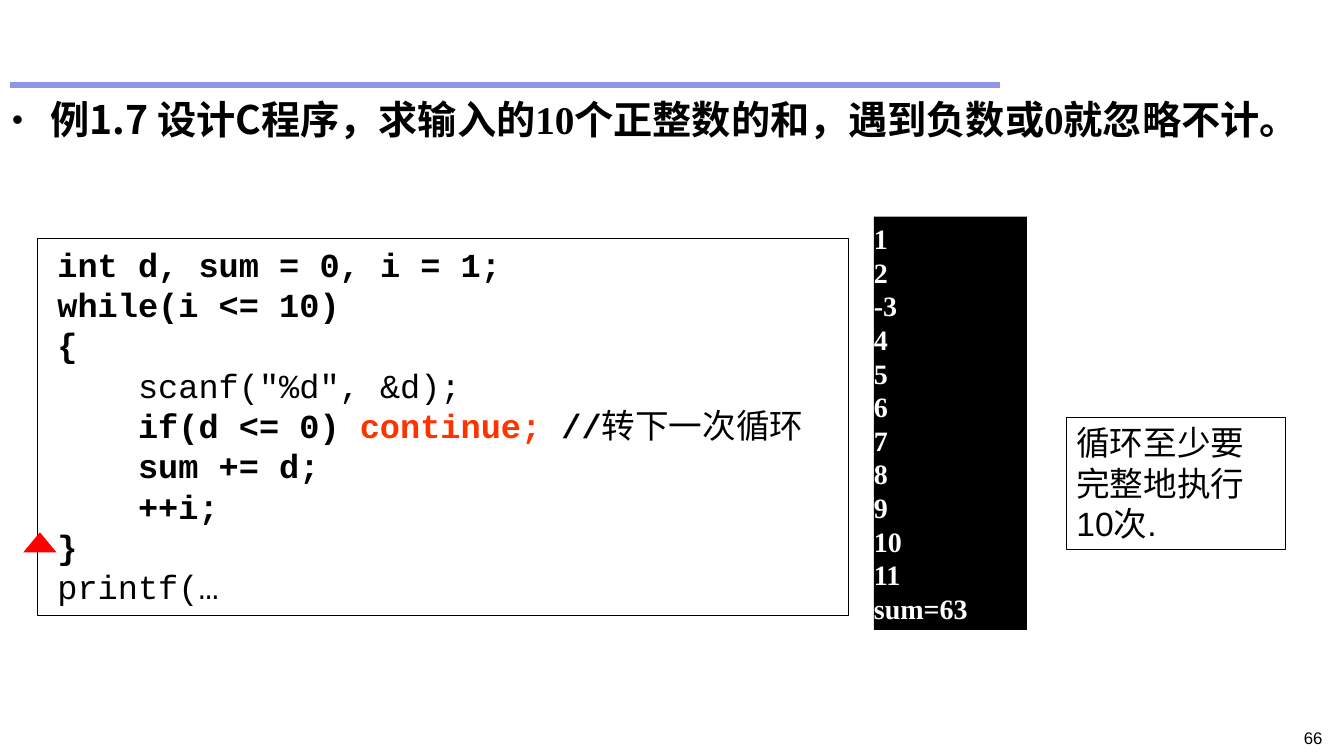
from dataclasses import dataclass
from typing import Any, NamedTuple, Optional

from lxml import etree
from pptx import Presentation
from pptx import util as u
from pptx.dml.color import RGBColor
from pptx.enum import shapes, text
from pptx.oxml import ns


@dataclass(frozen=True)
class Theme:
    black: str = "000000"
    white: str = "FFFFFF"
    red: str = "FF0000"
    keyword: str = "FF3300"
    rule: str = "8D97E5"
    sans: str = "Arial"
    serif: str = "Times New Roman"
    mono: str = "Courier New"
    cjk: str = "Noto Sans CJK SC"
    title_size: float = 28
    code_size: float = 24
    output_size: float = 20
    number_size: float = 12
    rule_width: float = 4.5
    border_width: float = 0.75


T = Theme()


class Run(NamedTuple):
    words: str
    font: str
    size: float
    bold: bool = False
    color: str = T.black


class Para(NamedTuple):
    runs: list[Run]
    left: float = 0
    bullet: bool = False
    align: Any = text.PP_ALIGN.LEFT


class Box(NamedTuple):
    """A frame (left, top, width, height), its insets (x, y) and its text."""
    frame: tuple[float, float, float, float]
    paras: list[Para]
    inset: tuple[float, float] = (7.2, 3.6)
    fill: Optional[str] = None
    line: Optional[str] = None
    kind: Any = shapes.MSO_SHAPE.RECTANGLE


def code(words: str, bold: bool = True, color: str = T.black) -> Run:
    return Run(words, T.mono, T.code_size, bold, color)


def code_line(*runs: Run, depth: int = 0) -> Para:
    """Indent by one character, or to the first tab stop inside the loop."""
    return Para(list(runs), left=72 if depth else 14.4)


def set_attrs(obj: Any, values: dict[str, Any]) -> None:
    for name, value in values.items():
        setattr(obj, name, value)


def add_run(p: Any, run: Run) -> None:
    r = p.add_run()
    r.text = run.words
    set_attrs(r.font, {"name": run.font, "size": u.Pt(run.size), "bold": run.bold})
    r.font.color.rgb = RGBColor.from_string(run.color)
    ea = etree.SubElement(r.font._element, ns.qn("a:ea"))
    ea.set("typeface", T.cjk)


def set_indent(p: Any, para: Para) -> None:
    pPr = p._p.get_or_add_pPr()
    pPr.set("marL", str(u.Pt(para.left)))
    if para.bullet:
        pPr.set("indent", str(-u.Pt(para.left)))
        for tag, key, value in (("a:buSzPct", "val", "80000"),
                                ("a:buFont", "typeface", T.sans),
                                ("a:buChar", "char", "•")):
            etree.SubElement(pPr, ns.qn(tag)).set(key, value)


def add_box(s: Any, box: Box) -> None:
    sp = s.shapes.add_shape(box.kind, *map(u.Pt, box.frame))
    sp.shadow.inherit = False
    if box.fill:
        sp.fill.solid()
        sp.fill.fore_color.rgb = RGBColor.from_string(box.fill)
    else:
        sp.fill.background()
    if box.line:
        sp.line.color.rgb = RGBColor.from_string(box.line)
        sp.line.width = u.Pt(T.border_width)
    else:
        sp.line.fill.background()
    tf = sp.text_frame
    x, y = map(u.Pt, box.inset)
    set_attrs(tf, {"word_wrap": True, "auto_size": text.MSO_AUTO_SIZE.NONE,
                   "vertical_anchor": text.MSO_ANCHOR.TOP,
                   "margin_left": x, "margin_right": x,
                   "margin_top": y, "margin_bottom": y})
    for i, para in enumerate(box.paras):
        p = tf.add_paragraph() if i else tf.paragraphs[0]
        p.alignment = para.align
        set_indent(p, para)
        for run in para.runs:
            add_run(p, run)


def add_rule(s: Any, left: float, right: float, y: float) -> None:
    cxn = s.shapes.add_connector(shapes.MSO_CONNECTOR.STRAIGHT,
                                 u.Pt(left), u.Pt(y), u.Pt(right), u.Pt(y))
    cxn.line.color.rgb = RGBColor.from_string(T.rule)
    cxn.line.width = u.Pt(T.rule_width)
    etree.SubElement(cxn._element.spPr, ns.qn("a:effectLst"))


TITLE = [Run(words, font, T.title_size, True) for words, font in (
    ("例1.7 设计C程序，求输入的", T.cjk),
    ("10个正整数的和", T.serif),
    ("，", T.cjk),
    ("遇到负数或0就忽略不计。", T.serif))]

CODE = [
    code_line(code("int d, sum = 0, i = 1;")),
    code_line(code("while(i <= 10)")),
    code_line(code("{")),
    code_line(code('scanf("%d", &d);', bold=False), depth=1),
    code_line(code("if(d <= 0) "), code("continue;", color=T.keyword), code(" //"),
              Run("转下一次循环", T.sans, T.code_size), depth=1),
    code_line(code("sum += d;"), depth=1),
    code_line(code("++i;"), depth=1),
    code_line(code("}")),
    code_line(code("printf(…", bold=False)),
]

OUTPUT = [Para([Run(words, T.serif, T.output_size, True, T.white)])
          for words in "1 2 -3 4 5 6 7 8 9 10 11 sum=63".split()]

BOXES = [
    Box((7.2, 67.7, 944.6, 468.7), [Para(TITLE, 27.4, bullet=True)], (1.44, 0.72)),
    Box((857.5, 516.2, 94.3, 18),
        [Para([Run("66", T.sans, T.number_size)], align=text.PP_ALIGN.RIGHT)]),
    Box((761.8, 298.1, 156.2, 94.3),
        [Para([Run("循环至少要完整地执行10次.", T.sans, T.code_size)])], line=T.black),
    Box((26.6, 170.6, 579.6, 269.3), CODE, (0, 3.6), line=T.black),
    Box((16.6, 380.2, 23.8, 14.4), [], fill=T.red,
        kind=shapes.MSO_SHAPE.ISOSCELES_TRIANGLE),
    Box((624.2, 154.8, 109.4, 295.2), OUTPUT, (0, 3.6), fill=T.black),
]


def main() -> None:
    prs = Presentation()
    set_attrs(prs, {"slide_width": u.Pt(960), "slide_height": u.Pt(540)})
    s = prs.slides.add_slide(prs.slide_layouts[6])
    add_rule(s, 7.2, 714.2, 60.5)
    for box in BOXES:
        add_box(s, box)
    prs.save("out.pptx")


if __name__ == "__main__":
    main()
